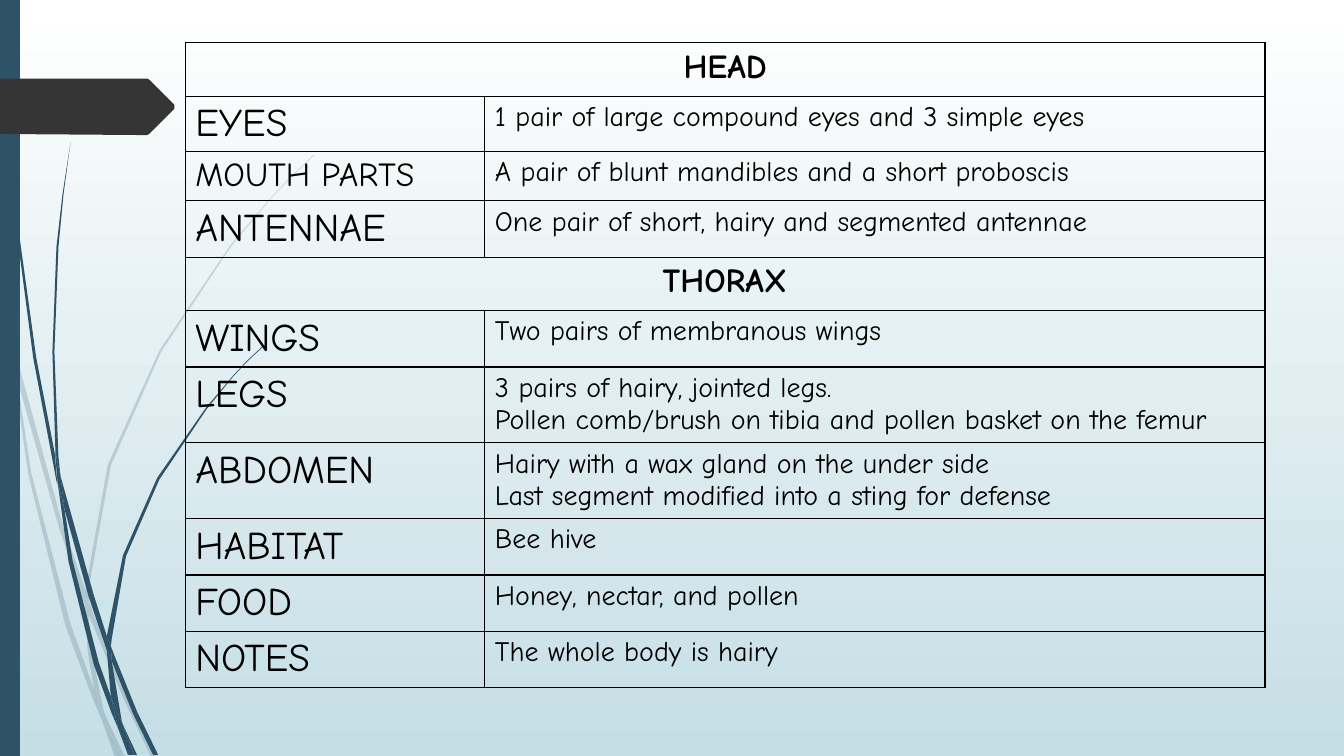
from lxml import etree
from pptx import Presentation, util as u
from pptx.dml.color import RGBColor
from pptx.enum import shapes, text
from pptx.oxml.ns import qn

WHITE = RGBColor(0xFF, 0xFF, 0xFF)
MIST = RGBColor(0xC5, 0xDE, 0xE5)
BLUE = RGBColor(0x2E, 0x53, 0x69)
CHARCOAL = RGBColor(0x35, 0x35, 0x35)
BLACK = RGBColor(0, 0, 0)

# Outlines below are in hundredths of an inch
UNIT = u.Cm(0.0254)

PALE_GRASS = [
    [(11, 350), (9, 322), (0, 282), (0, 299), (10, 344)],
    [(58, 522), (84, 599), (85, 586), (62, 520), (14, 345), (17, 376)],
    [(92, 607), (88, 596), (88, 610), (123, 694), (150, 751), (155, 751), (127, 692)],
    [(119, 751), (124, 751), (105, 711)],
    [(93, 683), (70, 619), (31, 469), (17, 376), (11, 350), (28, 470), (65, 621),
     (92, 693), (101, 714), (99, 707)],
    [(84, 599), (87, 646), (93, 683), (96, 692), (105, 711), (103, 706), (91, 646),
     (88, 610), (88, 608)],
    [(88, 584), (110, 462), (160, 349), (229, 245), (268, 198), (290, 175), (312, 154),
     (312, 153), (289, 175), (268, 197), (228, 244), (158, 348), (107, 461), (85, 584),
     (85, 586), (88, 596)],
    [(101, 714), (114, 751), (119, 751)],
    [(88, 608), (88, 610), (88, 596), (85, 586), (84, 599)],
    [(96, 692), (93, 683), (99, 707), (101, 714), (119, 751), (105, 711)],
]
DARK_GRASS = [
    [(7, 110), (17, 233), (33, 355), (56, 477), (57, 481), (55, 457), (55, 453),
     (36, 355), (19, 232), (8, 109), (5, 48), (4, 0), (3, 0), (4, 48)],
    [(88, 592), (106, 645), (106, 633), (106, 631), (93, 590), (60, 472), (64, 505)],
    [(113, 649), (110, 641), (111, 656), (132, 708), (152, 749), (157, 749), (136, 706)],
    [(110, 691), (98, 657), (72, 556), (64, 505), (57, 477), (68, 557), (93, 659),
     (111, 708), (117, 722), (116, 717)],
    [(60, 472), (58, 453), (54, 349), (58, 245), (63, 193), (70, 141), (62, 193),
     (56, 245), (52, 349), (55, 449)],
    [(133, 749), (136, 749), (122, 719)],
    [(57, 477), (64, 505), (60, 472), (55, 449), (55, 453)],
    [(111, 633), (125, 552), (158, 476), (205, 406), (231, 374), (245, 359), (261, 344),
     (260, 344), (245, 358), (231, 373), (204, 405), (156, 474), (122, 551), (106, 631),
     (110, 641)],
    [(117, 722), (127, 749), (131, 749)],
    [(106, 645), (110, 691), (116, 706), (122, 719), (121, 716), (111, 656), (109, 651)],
    [(106, 645), (109, 651), (111, 656), (110, 641), (106, 631), (106, 633)],
    [(116, 706), (110, 691), (116, 717), (117, 722), (130, 749), (133, 749), (122, 719)],
]
TAG = [(173, 108), (148, 133), (146, 134), (136, 134), (0, 133), (0, 78), (146, 78),
       (148, 79), (173, 104)]

# Row height in cm, label, label size, description lines (none for a section row)
BEE_ROWS = [
    (1.35, "HEAD", 24, []),
    (1.24, "EYES", 28, ["1 pair of large compound eyes and 3 simple eyes"]),
    (1.24, "MOUTH PARTS", 24, ["A pair of blunt mandibles and a short proboscis"]),
    (1.42, "ANTENNAE", 28, ["One pair of short, hairy and segmented antennae"]),
    (1.35, "THORAX", 24, []),
    (1.42, "WINGS", 28, ["Two pairs of membranous wings"]),
    (1.91, "LEGS", 28, ["3 pairs of hairy, jointed legs.",
                        "Pollen comb/brush on tibia and pollen basket on the femur"]),
    (1.91, "ABDOMEN", 28, ["Hairy with a wax gland on the under side",
                           "Last segment modified into a sting for defense"]),
    (1.42, "HABITAT", 28, ["Bee hive"]),
    (1.42, "FOOD", 28, ["Honey, nectar, and pollen"]),
    (1.42, "NOTES", 28, ["The whole body is hairy"]),
]


class SlideBuilder:
    font_name = "Comic Neue"
    border_width = u.Pt(1)

    def __init__(self, s):
        self.s = s

    def background(self, top, bottom):
        fill = self.s.background.fill
        fill.gradient()
        fill.gradient_angle = 270
        for stop, color in zip(fill.gradient_stops, (top, bottom)):
            stop.color.rgb = color

    def paint(self, sp, color, opacity=100):
        sp.shadow.inherit = False
        sp.fill.solid()
        sp.fill.fore_color.rgb = color
        sp.line.fill.background()
        if opacity < 100:
            clr = sp._element.spPr.find(qn("a:solidFill"))[0]
            etree.SubElement(clr, qn("a:alpha"), val=str(opacity * 1000))

    def outline(self, parent, points, color, opacity=100):
        builder = parent.shapes.build_freeform(*points[0], scale=UNIT)
        builder.add_line_segments(points[1:], close=True)
        self.paint(builder.convert_to_shape(), color, opacity)

    def grass(self, blades, opacity=100):
        group = self.s.shapes.add_group_shape()
        for blade in blades:
            self.outline(group, blade, BLUE, opacity)

    def bar(self, left, top, width, height, color):
        sp = self.s.shapes.add_shape(shapes.MSO_SHAPE.RECTANGLE, left, top, width, height)
        self.paint(sp, color)

    def fill_cell(self, cell, lines, align=text.PP_ALIGN.LEFT, **style):
        tf = cell.text_frame
        for i, line in enumerate(lines):
            p = tf.add_paragraph() if i else tf.paragraphs[0]
            p.alignment = align
            r = p.add_run()
            r.text = line
            r.font.color.rgb = BLACK
            for name, value in {"name": self.font_name, **style}.items():
                setattr(r.font, name, value)

    def frame(self, cell):
        tc_pr = cell._tc.get_or_add_tcPr()
        for side in ("lnL", "lnR", "lnT", "lnB"):
            ln = etree.SubElement(tc_pr, qn(f"a:{side}"), w=str(self.border_width))
            solid = etree.SubElement(ln, qn("a:solidFill"))
            etree.SubElement(solid, qn("a:srgbClr"), val=str(BLACK))
        cell.fill.background()

    def table(self, left, top, widths, rows):
        height = u.Cm(sum(row[0] for row in rows))
        table = self.s.shapes.add_table(
            len(rows), len(widths), left, top, sum(widths), height).table
        table.first_row = table.horz_banding = False
        for column, width in zip(table.columns, widths):
            column.width = width
        for i, (row_height, label, size, lines) in enumerate(rows):
            table.rows[i].height = u.Cm(row_height)
            left_cell, right_cell = table.cell(i, 0), table.cell(i, 1)
            self.frame(left_cell)
            self.frame(right_cell)
            if lines:
                self.fill_cell(left_cell, [label], size=u.Pt(size), bold=False)
                self.fill_cell(right_cell, lines, size=u.Pt(20), bold=False)
            else:
                left_cell.merge(right_cell)
                self.fill_cell(left_cell, [label], text.PP_ALIGN.CENTER,
                               size=u.Pt(size), bold=True)


def main():
    prs = Presentation()
    prs.slide_width, prs.slide_height = u.Cm(33.87), u.Cm(19.05)
    slide = SlideBuilder(prs.slides.add_slide(prs.slide_layouts[6]))

    # Backdrop and side decoration
    slide.background(WHITE, MIST)
    slide.grass(PALE_GRASS, opacity=20)
    slide.grass(DARK_GRASS)
    slide.bar(0, 0, u.Cm(0.5), prs.slide_height, BLUE)
    slide.outline(slide.s, TAG, CHARCOAL)

    # Bee anatomy table
    slide.table(u.Cm(4.67), u.Cm(1.08), [u.Cm(7.55), u.Cm(19.66)], BEE_ROWS)

    prs.save("out.pptx")


if __name__ == "__main__":
    main()
